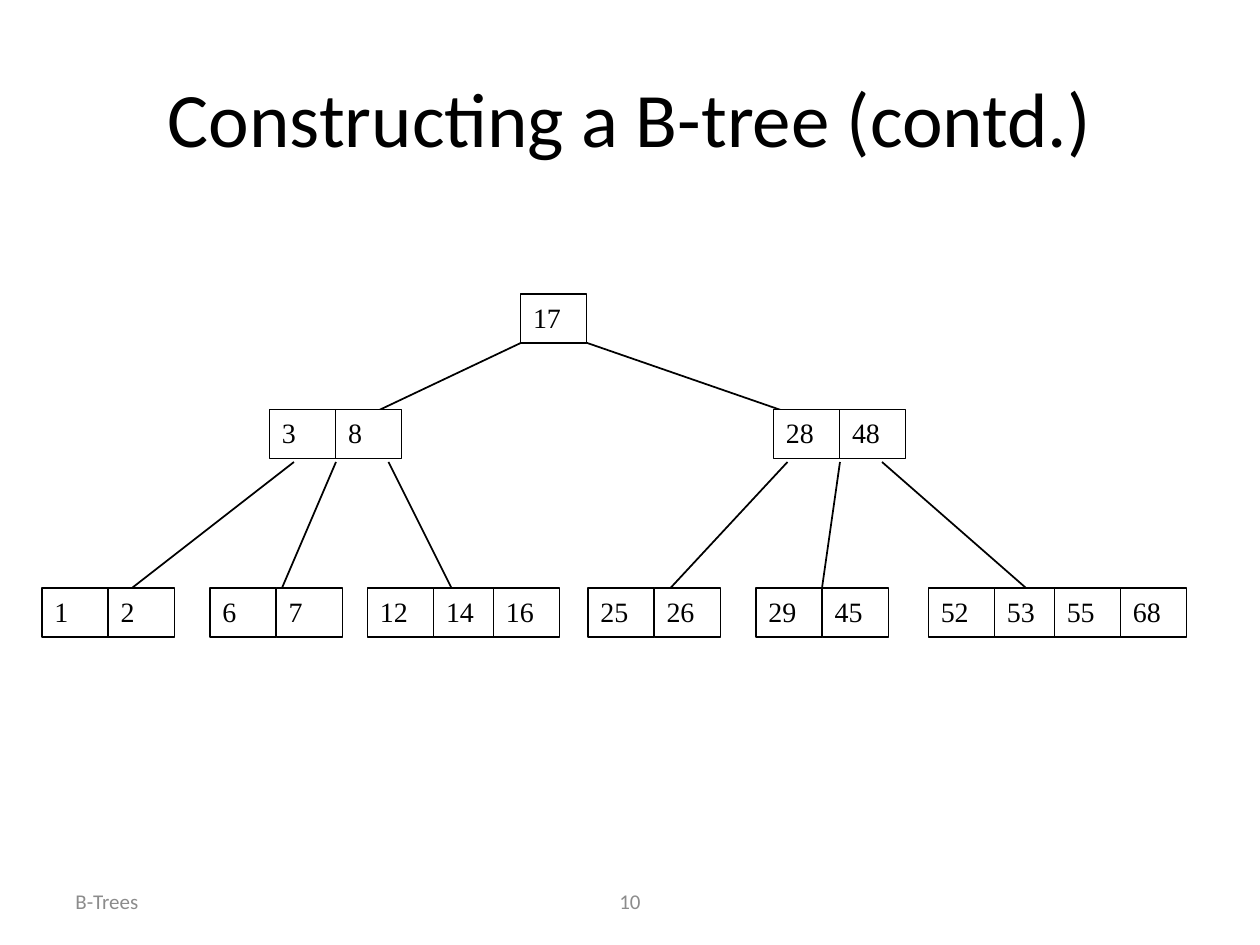
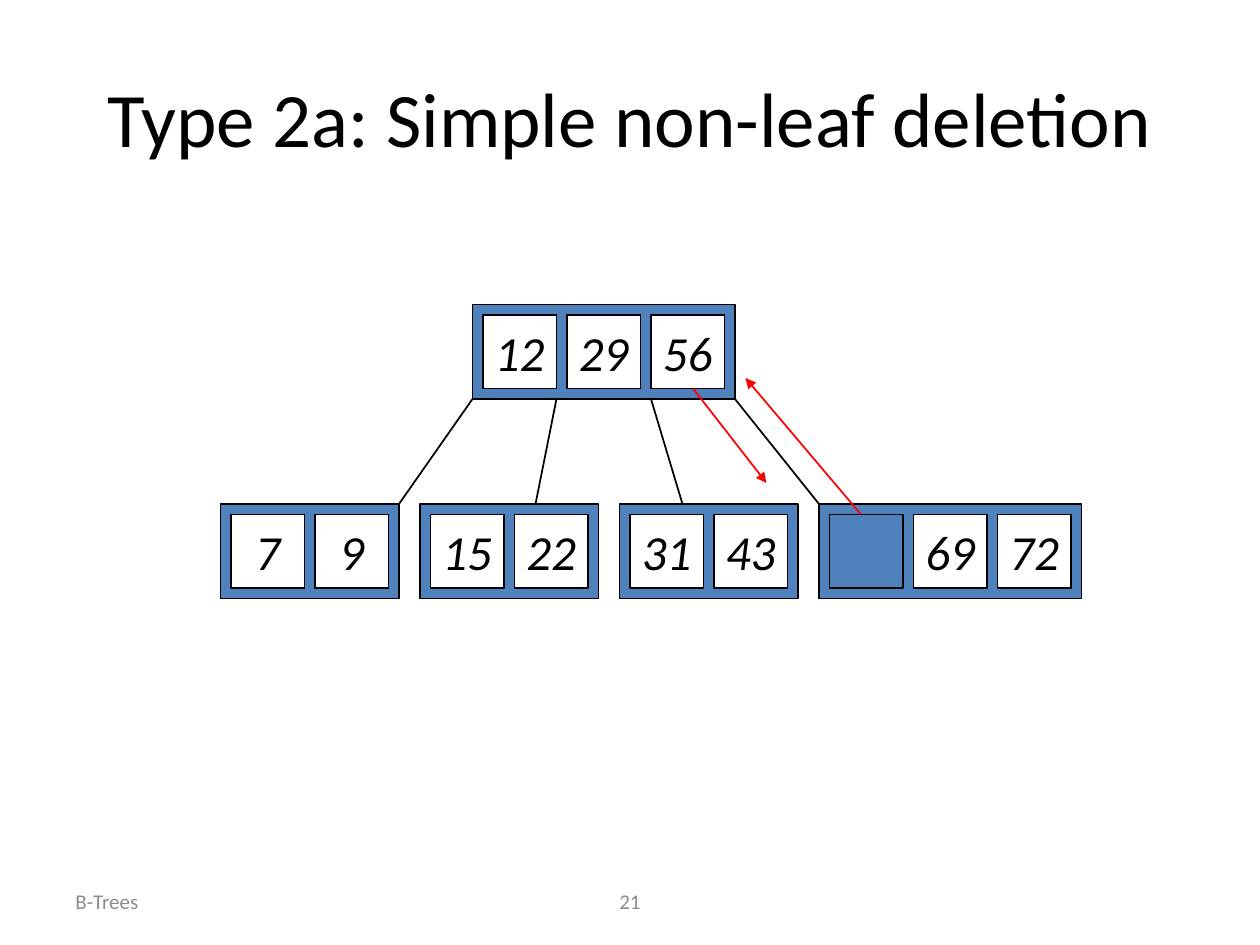
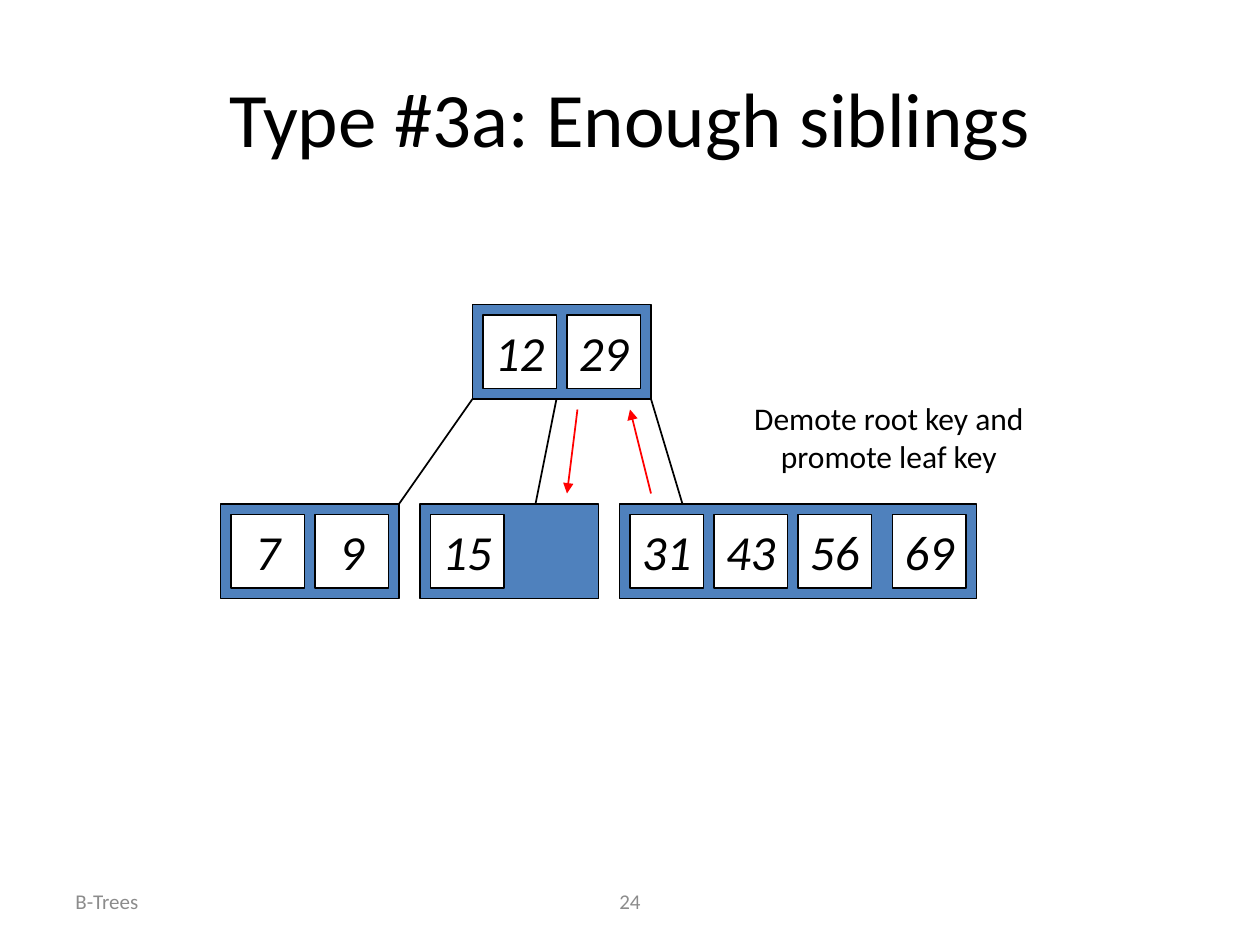
from lxml import etree
from pptx import Presentation
from pptx.dml.color import RGBColor
from pptx.enum.shapes import MSO_CONNECTOR, MSO_SHAPE
from pptx.enum.text import MSO_ANCHOR, PP_ALIGN
from pptx.oxml.ns import qn
from pptx.util import Pt

RECTANGLE = MSO_SHAPE.RECTANGLE
STRAIGHT = MSO_CONNECTOR.STRAIGHT
TOP, MIDDLE = MSO_ANCHOR.TOP, MSO_ANCHOR.MIDDLE
LEFT, CENTER = PP_ALIGN.LEFT, PP_ALIGN.CENTER

BLACK, WHITE, GRAY, BLUE, RED = "000000", "FFFFFF", "8C8C8C", "4F81BD", "FF0000"
TITLE_FONT = {"name": "Calibri", "size": Pt(44)}
FOOTER_FONT = {"name": "Calibri", "size": Pt(12)}
NOTE_FONT = {"name": "Calibri", "size": Pt(18)}
KEY_FONT = {"name": "Calibri", "size": Pt(28), "italic": True}
PLAIN_KEY_FONT = {"name": "Times New Roman", "size": Pt(16)}

PLAIN_WIDTH, PLAIN_HEIGHT, PLAIN_PAIR = 37.8, 28, 72
KEY_SIZE, KEY_GAP = 42, 6
KEY_PITCH = KEY_SIZE + KEY_GAP
NODE_HEIGHT = KEY_SIZE + 2 * KEY_GAP
ROOT_TOP, LEAF_TOP = 174, 288
ROOT_BOTTOM = ROOT_TOP + NODE_HEIGHT


def color(value):
    return RGBColor.from_string(value)


class TreeDeck:
    def __init__(self):
        self.deck = Presentation()
        self.deck.slide_width, self.deck.slide_height = Pt(720), Pt(540)
        self.page = None

    def add_page(self, title, number):
        self.page = self.deck.slides.add_slide(self.deck.slide_layouts[6])
        self.text([title], 36, 21.6, 648, 90, TITLE_FONT)
        self.text(["B-Trees"], 36, 500.5, 168, 28.8, FOOTER_FONT, GRAY, LEFT)
        self.text([str(number)], 246, 500.5, 228, 28.8, FOOTER_FONT, GRAY)

    def set_lines(self, box, lines, font, ink=BLACK, align=CENTER, anchor=MIDDLE, wrap=True):
        frame = box.text_frame
        frame.word_wrap = wrap
        frame.vertical_anchor = anchor
        for index, line in enumerate(lines):
            para = frame.add_paragraph() if index else frame.paragraphs[0]
            para.alignment = align
            span = para.add_run()
            span.text = line
            span.font.color.rgb = color(ink)
            for name, value in font.items():
                setattr(span.font, name, value)

    def text(self, lines, left, top, width, height, font, ink=BLACK, align=CENTER, wrap=True):
        box = self.page.shapes.add_textbox(Pt(left), Pt(top), Pt(width), Pt(height))
        self.set_lines(box, lines, font, ink, align, wrap=wrap)

    def rectangle(self, left, top, width, height, fill, weight=1):
        box = self.page.shapes.add_shape(RECTANGLE, Pt(left), Pt(top), Pt(width), Pt(height))
        box.shadow.inherit = False
        box.fill.solid()
        box.fill.fore_color.rgb = color(fill)
        box.line.color.rgb = color(BLACK)
        box.line.width = Pt(weight)
        return box

    def line(self, start, end, ink=BLACK, arrow=False):
        link = self.page.shapes.add_connector(STRAIGHT, *map(Pt, start + end))
        link.line.color.rgb = color(ink)
        link.line.width = Pt(1)
        properties = link.element.spPr
        if arrow:
            etree.SubElement(properties.find(qn("a:ln")), qn("a:tailEnd"), type="triangle")
        etree.SubElement(properties, qn("a:effectLst"))

    def plain_node(self, left, top, keys):
        for index, key in enumerate(keys):
            pair, second = divmod(index, 2)
            cell_left = left + pair * PLAIN_PAIR + second * PLAIN_WIDTH
            cell = self.rectangle(cell_left, top, PLAIN_WIDTH, PLAIN_HEIGHT, WHITE, 0.75)
            self.set_lines(cell, [str(key)], PLAIN_KEY_FONT, align=LEFT, anchor=TOP)

    def key(self, left, top, value):
        cell = self.rectangle(left, top, KEY_SIZE, KEY_SIZE, BLUE if value is None else WHITE)
        if value is not None:
            self.set_lines(cell, [str(value)], KEY_FONT, wrap=False)

    def node(self, left, top, keys, width=None):
        width = width or len(keys) * KEY_PITCH + KEY_GAP
        self.rectangle(left, top, width, NODE_HEIGHT, BLUE)
        for index, value in enumerate(keys):
            self.key(left + KEY_GAP + index * KEY_PITCH, top + KEY_GAP, value)

    def branches(self, ends):
        for start, end in ends:
            self.line((start, ROOT_BOTTOM), (end, LEAF_TOP))


def construction(tree):
    tree.add_page("Constructing a B-tree (contd.)", 10)
    for start, end in [(168, 60), (192, 156), (222, 264), (450, 372), (480, 468), (504, 600)]:
        tree.line((start, 264), (end, 348))
    for start, end in [(306, 192), (324, 480)]:
        tree.line((start, 192), (end, 246))
    levels = {
        168: [(297.5, [17])],
        234: [(154, [3, 8]), (442, [28, 48])],
        336: [(24, [1, 2]), (120, [6, 7]), (210, [12, 14, 16]),
              (336, [25, 26]), (432, [29, 45]), (530.5, [52, 53, 55, 68])],
    }
    for top, nodes in levels.items():
        for left, keys in nodes:
            tree.plain_node(left, top, keys)


def non_leaf_deletion(tree):
    tree.add_page("Type 2a: Simple non-leaf deletion", 21)
    tree.node(270, ROOT_TOP, [12, 29, 56])
    for left, keys in [(126, [7, 9]), (240, [15, 22]), (354, [31, 43]), (468, [None, 69, 72])]:
        tree.node(left, LEAF_TOP, keys)
    tree.branches([(270, 228), (318, 306), (372, 390), (420, 468)])
    tree.line((396, 222), (438, 276), RED, arrow=True)
    tree.line((492, 294), (426, 216), RED, arrow=True)


def enough_siblings(tree):
    tree.add_page("Type #3a: Enough siblings", 24)
    tree.node(270, ROOT_TOP, [12, 29])
    tree.node(126, LEAF_TOP, [7, 9])
    tree.node(240, LEAF_TOP, [15], width=102)
    tree.node(354, LEAF_TOP, [31, 43, 56], width=204)
    tree.key(510, LEAF_TOP + KEY_GAP, 69)
    tree.branches([(270, 228), (318, 306), (372, 390)])
    tree.line((372, 282), (360, 234), RED, arrow=True)
    tree.line((330, 234), (324, 282), RED, arrow=True)
    tree.text(["Demote root key and", "promote leaf key"], 408, 222, 200, 55.4, NOTE_FONT, wrap=False)


def main():
    tree = TreeDeck()
    construction(tree)
    non_leaf_deletion(tree)
    enough_siblings(tree)
    tree.deck.save("out.pptx")


if __name__ == "__main__":
    main()
